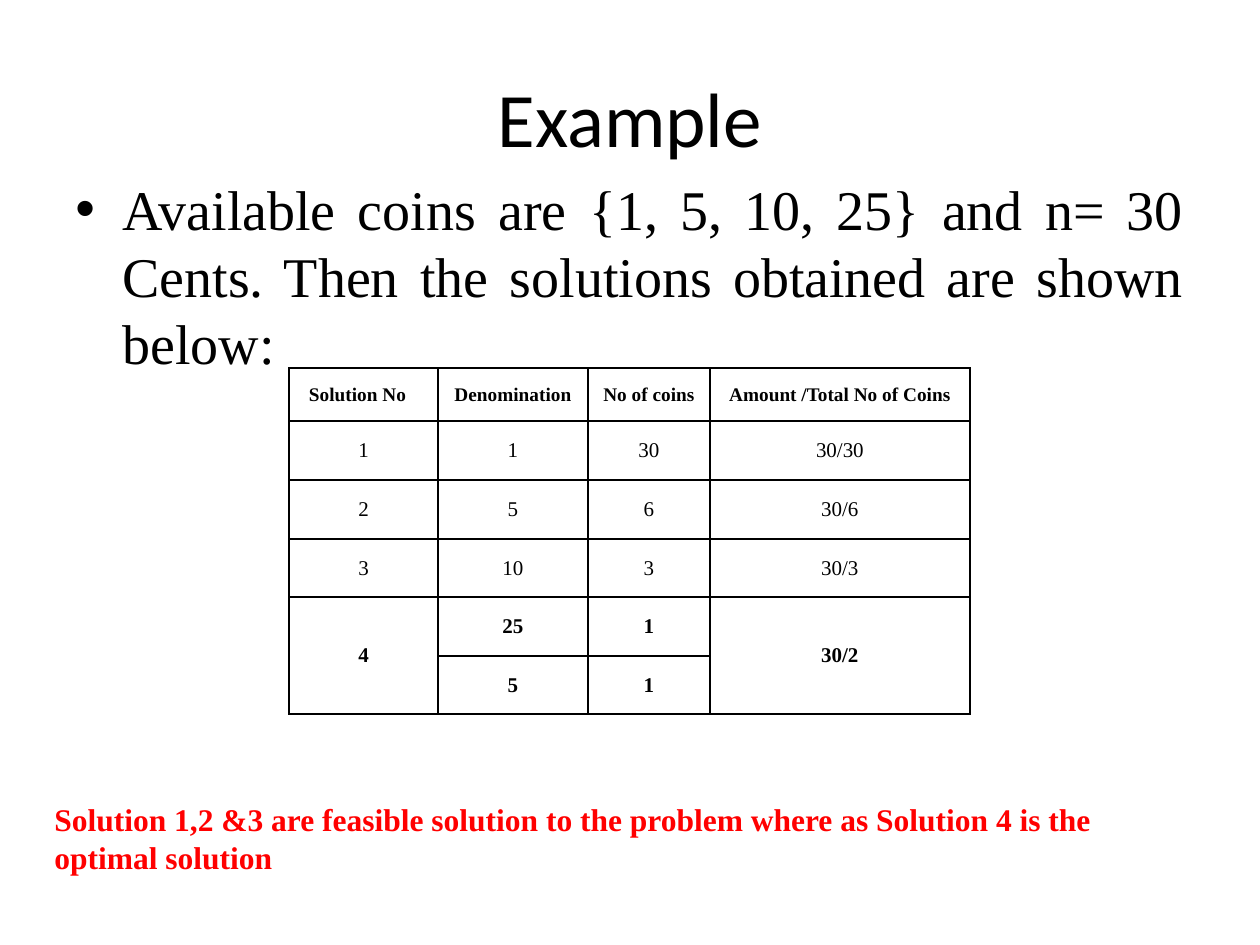
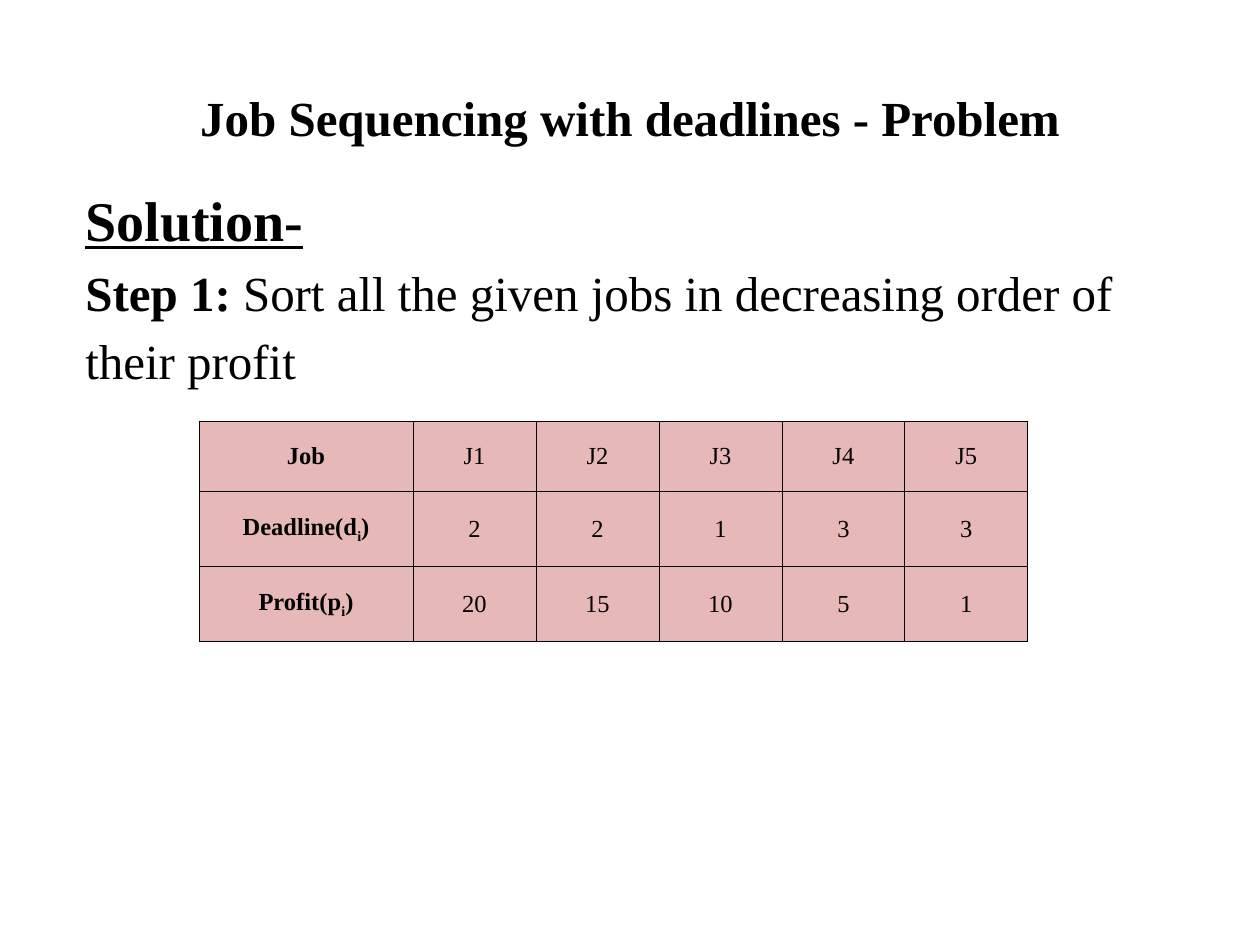
from dataclasses import dataclass

from lxml.etree import SubElement
from pptx import Presentation
from pptx.dml.color import RGBColor
from pptx.enum.text import MSO_ANCHOR as Anchor, PP_ALIGN as Align
from pptx.oxml.ns import qn
from pptx.util import Emu, Pt

EMU_PER_PX = 914400 / 126


@dataclass(frozen=True)
class Theme:
    ink: str = "000000"
    alert: str = "FF0000"
    job_fill: str = "E6B9B8"
    serif: str = "Times New Roman"
    sans: str = "Calibri"
    headline: int = 44
    lead: int = 32
    step: int = 28
    note: int = 18
    job: int = 14
    coin: int = 12
    coin_head: int = 11


THEME = Theme()
TITLE_BOX = (63, 38, 1134, 157)
HANG = 47


def px(length):
    return Emu(round(length * EMU_PER_PX))


# ---- Text ----
def write_text(frame, paragraphs, *, size, font=THEME.serif, color=THEME.ink,
               bold=False, align=Align.LEFT, anchor=Anchor.TOP,
               line_pt=None, gap_pt=0, hang=0, bullet=None):
    """Fill a frame; each paragraph is a string or a list of (text, overrides)."""
    frame.word_wrap = True
    frame.vertical_anchor = anchor
    for number, runs in enumerate(paragraphs):
        paragraph = frame.add_paragraph() if number else frame.paragraphs[0]
        paragraph.alignment = align
        if line_pt:
            paragraph.line_spacing = Pt(line_pt)
        if number and gap_pt:
            paragraph.space_before = Pt(gap_pt)
        properties = paragraph._p.get_or_add_pPr()
        if hang:
            properties.set("marL", str(px(hang)))
            properties.set("indent", str(-px(hang)))
        if bullet:
            SubElement(properties, qn("a:buFont"), typeface="Arial")
            SubElement(properties, qn("a:buChar"), char=bullet)
        for text, style in [(runs, {})] if isinstance(runs, str) else runs:
            run = paragraph.add_run()
            run.text = text
            run.font.name = font
            run.font.size = Pt(style.get("size", size))
            run.font.bold = style.get("bold", bold)
            run.font.underline = style.get("underline", False)
            run.font.color.rgb = RGBColor.from_string(color)
            if "baseline" in style:
                run.font._element.set("baseline", str(style["baseline"]))


def add_text(slide, box, paragraphs, **style):
    textbox = slide.shapes.add_textbox(*map(px, box))
    write_text(textbox.text_frame, paragraphs, **style)


def add_title(slide, text, **style):
    add_text(slide, TITLE_BOX, [text], align=Align.CENTER,
             anchor=Anchor.MIDDLE, **style)


# ---- Tables ----
def draw_borders(cell, width_pt):
    properties = cell._tc.get_or_add_tcPr()
    for position, side in enumerate(("lnL", "lnR", "lnT", "lnB")):
        line = SubElement(properties, qn(f"a:{side}"), w=str(Pt(width_pt)))
        solid = SubElement(line, qn("a:solidFill"))
        SubElement(solid, qn("a:srgbClr"), val=THEME.ink)
        properties.insert(position, line)


def add_grid(slide, origin, widths, heights, border_pt, fill=None, margin=0):
    """Add an unstyled ruled table with tight, vertically centred cells."""
    box = (*origin, sum(widths), sum(heights))
    table = slide.shapes.add_table(len(heights), len(widths), *map(px, box)).table
    table.first_row = table.horz_banding = False
    for column, width in zip(table.columns, widths):
        column.width = px(width)
    for row, height in zip(table.rows, heights):
        row.height = px(height)
    for cell in table.iter_cells():
        cell.margin_left = cell.margin_right = cell.margin_top = px(margin)
        cell.margin_bottom = 0
        cell.vertical_anchor = Anchor.MIDDLE
        if fill:
            cell.fill.solid()
            cell.fill.fore_color.rgb = RGBColor.from_string(fill)
        else:
            cell.fill.background()
        draw_borders(cell, border_pt)
    return table


def add_coin_table(slide, origin):
    rows = [
        ["Solution No", "Denomination", "No of coins", "Amount /Total No of Coins"],
        ["1", "1", "30", "30/30"],
        ["2", "5", "6", "30/6"],
        ["3", "10", "3", "30/3"],
        ["4", "25", "1", "30/2"],
        [None, "5", "1", None],
    ]
    table = add_grid(slide, origin, [149, 150, 122, 260],
                     [53, 59, 59, 58, 59, 58], border_pt=1)
    table.cell(0, 0).margin_right = px(12)
    for column in (0, 3):
        table.cell(4, column).merge(table.cell(5, column))

    heading = dict(size=THEME.coin_head, bold=True, line_pt=12.6)
    feasible = dict(size=THEME.coin, line_pt=13.5)
    optimal = dict(size=THEME.coin, bold=True, line_pt=13.8)
    styles = [heading] + [feasible] * 3 + [optimal] * 2
    for r, (row, style) in enumerate(zip(rows, styles)):
        for c, text in enumerate(row):
            if text:
                write_text(table.cell(r, c).text_frame, [text],
                           align=Align.CENTER, anchor=Anchor.MIDDLE, **style)


def add_job_table(slide, origin):
    def with_subscript(name):
        return [(name, {}), ("i", {"baseline": -25000}), (")", {})]

    rows = [
        ["Job", "J1", "J2", "J3", "J4", "J5"],
        [with_subscript("Deadline(d"), "2", "2", "1", "3", "3"],
        [with_subscript("Profit(p"), "20", "15", "10", "5", "1"],
    ]
    table = add_grid(slide, origin, [214] + [123] * 5, [70, 75, 75],
                     border_pt=0.5, fill=THEME.job_fill, margin=1)
    for r, row in enumerate(rows):
        for c, content in enumerate(row):
            write_text(table.cell(r, c).text_frame, [content], size=THEME.job,
                       bold=c == 0, align=Align.CENTER, anchor=Anchor.MIDDLE)


# ---- Slides ----
def build_coin_example(slide):
    add_title(slide, "Example", size=THEME.headline, font=THEME.sans)
    add_text(slide, (63, 168, 1134, 677),
             ["Available coins are {1, 5, 10, 25} and n= 30 Cents. "
              "Then the solutions obtained are shown below:"],
             size=THEME.lead, align=Align.JUSTIFY, hang=HANG, bullet="•")
    add_coin_table(slide, (289, 368))
    add_text(slide, (42, 794, 1144, 89),
             ["Solution 1,2 &3 are feasible solution to the problem "
              "where as Solution 4 is the optimal solution"],
             size=THEME.note, color=THEME.alert, bold=True)


def build_job_sequencing(slide):
    add_title(slide, "Job Sequencing with deadlines - Problem",
              size=THEME.step, bold=True)
    solution = {"size": THEME.lead, "bold": True, "underline": True}
    add_text(slide, (73, 179, 1134, 242),
             [[("Solution-", solution)],
              [("Step 1:", {"bold": True}),
               (" Sort all the given jobs in decreasing order of", {})],
              "their profit"],
             size=THEME.step, align=Align.JUSTIFY, gap_pt=5.6, hang=HANG)
    add_job_table(slide, (199, 421))


def main():
    deck = Presentation()
    deck.slide_width, deck.slide_height = px(1260), px(945)
    blank = deck.slide_layouts[6]
    for build in (build_coin_example, build_job_sequencing):
        build(deck.slides.add_slide(blank))
    deck.save("out.pptx")


if __name__ == "__main__":
    main()
